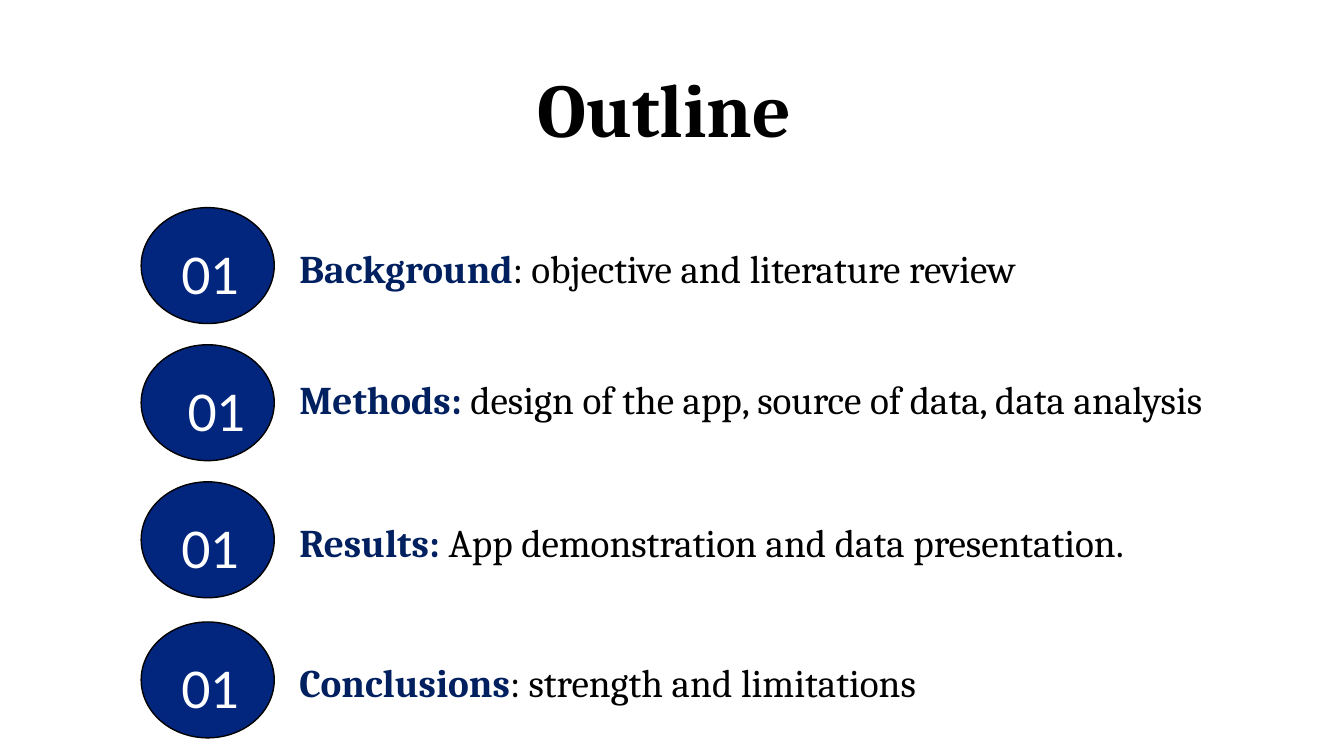
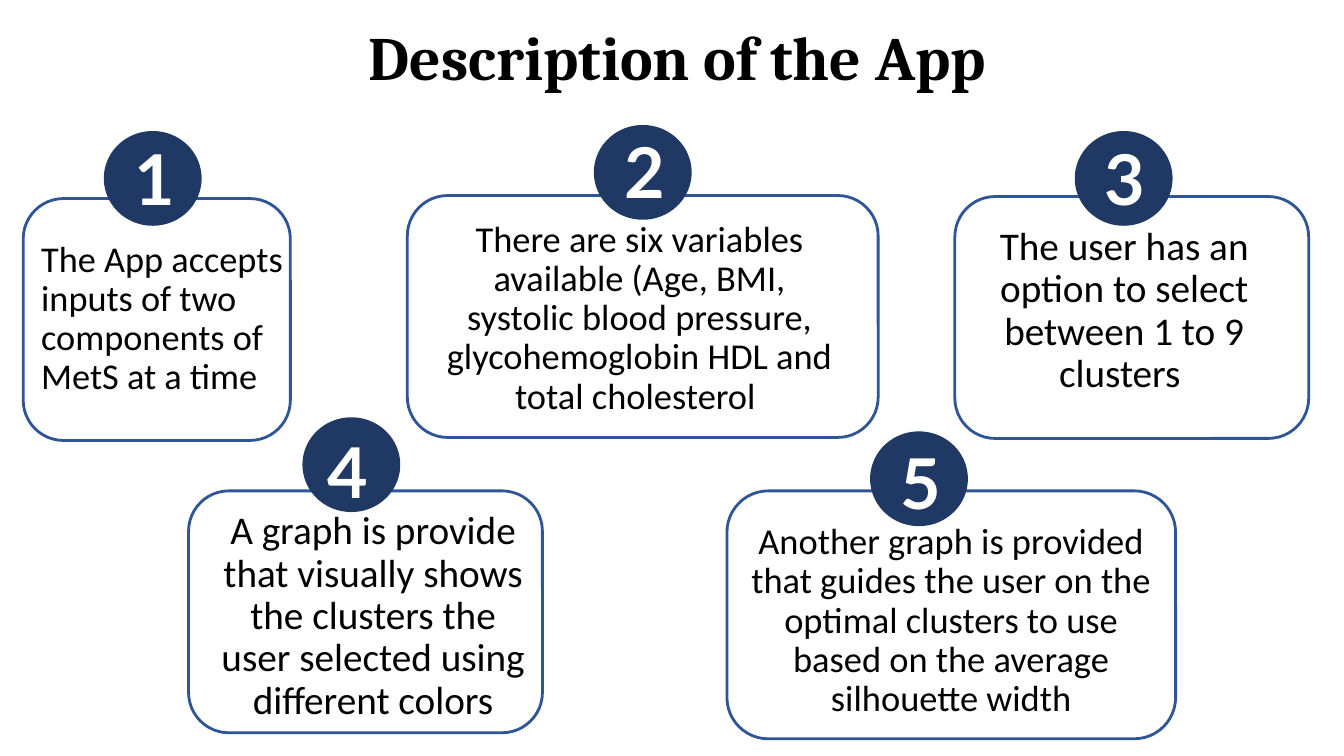
from pptx import Presentation
from pptx.dml.color import RGBColor
from pptx.enum.shapes import MSO_SHAPE as Shape
from pptx.enum.text import MSO_ANCHOR as Anchor, MSO_AUTO_SIZE as AutoSize, PP_ALIGN as Align
from pptx.util import Inches, Pt

BLACK = RGBColor(0x00, 0x00, 0x00)
WHITE = RGBColor(0xFF, 0xFF, 0xFF)
HEADING_BLUE = RGBColor(0x00, 0x20, 0x60)
OUTLINE_BLUE = RGBColor(0x02, 0x26, 0x7E)
BADGE_BLUE = RGBColor(0x20, 0x38, 0x64)
FRAME_BLUE = RGBColor(0x2F, 0x55, 0x97)

SERIF, SANS, NUMERAL = "Cambria", "Calibri", "Lato"

OUTLINE = [
    ("Background", ": objective and literature review", 2.06, 2.42, 1.8),
    ("Methods: ", "design of the app, source of data, data analysis", 3.42, 3.72, 1.86),
    ("Results: ", "App demonstration and data presentation.", 4.78, 5.14, 1.8),
    ("Conclusions", ": strength and limitations", 6.17, 6.53, 1.8),
]

CARDS = [
    dict(text="The App accepts inputs of two components of MetS at a time",
         frame=(0.23, 1.97, 2.65, 2.4), body=(0.31, 2.34, 2.65, 1.88),
         size=25.9, align=Align.LEFT, badge=(1.03, 1.3), offset=(0.3, 0.04)),
    dict(text="There are six variables available (Age, BMI, systolic blood pressure, "
              "glycohemoglobin HDL and total cholesterol ",
         frame=(4.04, 1.94, 4.67, 2.4), body=(4.23, 2.14, 4.23, 2.01),
         size=26, align=Align.CENTER, badge=(5.89, 1.24), offset=(0.3, 0.04)),
    dict(text="The user has an option to select between 1 to 9 clusters ",
         frame=(9.47, 1.95, 3.51, 2.4), body=(9.61, 2.2, 3.08, 1.89),
         size=28, align=Align.CENTER, badge=(10.66, 1.3), offset=(0.3, 0.04)),
    dict(text="A graph is provide that visually shows the clusters the user selected "
              "using different colors",
         frame=(1.87, 4.87, 3.51, 2.4), body=(2.02, 5.02, 3.36, 2.4),
         size=28, align=Align.CENTER, badge=(3, 4.14), offset=(0.25, 0.11)),
    dict(text="Another graph is provided that guides the user on the optimal clusters "
              "to use based on the average silhouette width",
         frame=(7.21, 4.87, 4.45, 2.46), body=(7.21, 5.14, 4.45, 2.4),
         size=26, align=Align.CENTER, badge=(8.63, 4.28), offset=(0.3, 0.08)),
]


def add_run(paragraph, text, *, size, font=SANS, color=BLACK, bold=False):
    """Append formatted text to a paragraph."""
    run = paragraph.add_run()
    run.text = text
    run.font.name = font
    run.font.size = Pt(size)
    run.font.bold = bold
    run.font.color.rgb = color


class Deck:
    """Hold the shared style and the slide being built."""

    def __init__(self):
        """Start an empty widescreen presentation."""
        self.presentation = Presentation()
        self.presentation.slide_width = Inches(13.33)
        self.presentation.slide_height = Inches(7.5)
        self.slide = None

    def add_slide(self, title, box, size):
        """Add a slide with a centred serif title."""
        self.slide = self.presentation.slides.add_slide(self.presentation.slide_layouts[5])
        shape = self.slide.shapes.title
        shape.left, shape.top, shape.width, shape.height = map(Inches, box)
        frame = shape.text_frame
        frame.word_wrap = True
        frame.auto_size = AutoSize.NONE
        frame.vertical_anchor = Anchor.MIDDLE
        paragraph = frame.paragraphs[0]
        paragraph.alignment = Align.CENTER
        paragraph.line_spacing = 0.9
        add_run(paragraph, title, size=size, font=SERIF, bold=True)

    def shape(self, kind, box, fill=None, line=None, width=1):
        """Add a preset shape with an optional fill and outline."""
        shape = self.slide.shapes.add_shape(kind, *map(Inches, box))
        shape.shadow.inherit = False
        if fill is None:
            shape.fill.background()
        else:
            shape.fill.solid()
            shape.fill.fore_color.rgb = fill
        if line is None:
            shape.line.fill.background()
        else:
            shape.line.color.rgb = line
            shape.line.width = Pt(width)

    def text(self, box, runs, spacing=None, align=Align.LEFT, inset=True):
        """Add a wrapping text box made of (text, format) runs."""
        frame = self.slide.shapes.add_textbox(*map(Inches, box)).text_frame
        frame.word_wrap = True
        if not inset:
            frame.margin_left = frame.margin_top = frame.margin_right = frame.margin_bottom = 0
        paragraph = frame.paragraphs[0]
        paragraph.alignment = align
        paragraph.line_spacing = spacing
        for text, style in runs:
            add_run(paragraph, text, **style)

    def numeral(self, box, text, size, spacing, bold=False):
        """Add a white numeral with exact line spacing."""
        style = dict(size=size, font=NUMERAL, color=WHITE, bold=bold)
        self.text(box, [(text, style)], spacing=Pt(spacing), inset=False)

    def outline_item(self, heading, detail, circle_top, text_top, numeral_left):
        """Add a numbered circle with its heading and detail."""
        self.shape(Shape.OVAL, (1.4, circle_top, 1.32, 1.15), OUTLINE_BLUE, BLACK)
        self.text((2.97, text_top, 9.96, 0.47), [
            (heading, dict(size=28, font=SERIF, color=HEADING_BLUE, bold=True)),
            (detail, dict(size=28, font=SERIF)),
        ], inset=False)
        self.numeral((numeral_left, circle_top + 0.15, 1.69, 0.79), "01", 36, 58.5)

    def card(self, number, text, frame, body, size, align, badge, offset):
        """Add a rounded frame with its text and numbered badge."""
        self.shape(Shape.ROUNDED_RECTANGLE, frame, line=FRAME_BLUE, width=2)
        self.text(body, [(text, dict(size=size))], spacing=0.9, align=align)
        left, top = badge
        self.shape(Shape.OVAL, (left, top, 0.97, 0.94), BADGE_BLUE)
        numeral_box = (left + offset[0], top + offset[1], 0.5, 0.84)
        self.numeral(numeral_box, str(number), 50, 60, bold=True)


def main():
    """Build and save both slides."""
    deck = Deck()
    deck.add_slide("Outline ", (0.92, 0.4, 11.5, 1.45), 54)
    for item in OUTLINE:
        deck.outline_item(*item)
    deck.add_slide("Description of the App", (0.97, 0, 11.5, 1.2), 44)
    for number, card in enumerate(CARDS, 1):
        deck.card(number, **card)
    deck.presentation.save("out.pptx")


if __name__ == "__main__":
    main()
